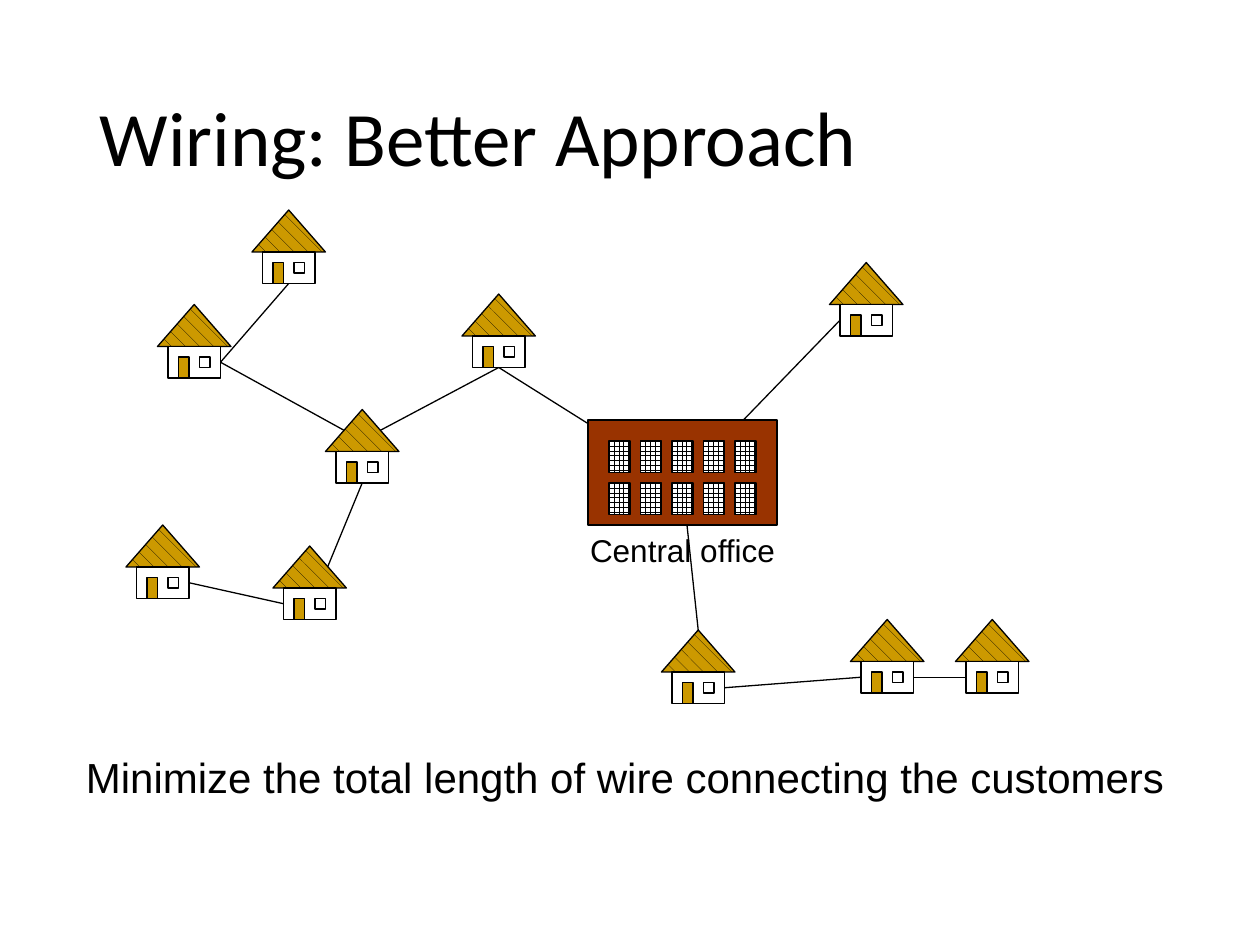
"""Build a slide on wiring houses to a central office with the least wire."""
import pptx
import pptx.dml.color
import pptx.enum.dml
import pptx.enum.shapes
import pptx.enum.text
import pptx.util
import pptx.oxml

PX = 914400 // 120
HUES = {"ink": "000000", "gold": "CC9900", "brick": "993300", "white": "FFFFFF"}
HUES = {name: pptx.dml.color.RGBColor.from_string(code) for name, code in HUES.items()}
THIN = pptx.util.Pt(0.75)
KIND = pptx.enum.shapes.MSO_SHAPE
HATCH = pptx.enum.dml.MSO_PATTERN
ALIGN = pptx.enum.text.PP_ALIGN
ANCHOR = pptx.enum.text.MSO_ANCHOR


def draw(group, kind, box, hue=None, hatch=None):
    """Add an outlined shape with a plain, hatched or empty fill."""
    shape = group.shapes.add_shape(kind, *[n * PX for n in box])
    shape.shadow.inherit = False
    shape.line.color.rgb = HUES["ink"]
    shape.line.width = THIN
    if hatch:
        shape.fill.patterned()
        shape.fill.pattern = hatch
        shape.fill.fore_color.rgb = HUES["ink"]
        shape.fill.back_color.rgb = HUES[hue]
    elif hue:
        shape.fill.solid()
        shape.fill.fore_color.rgb = HUES[hue]
    else:
        shape.fill.background()


def put(shape, box, text, face, size, form, frame):
    """Place a text shape and format its one paragraph."""
    for side, n in zip(("left", "top", "width", "height"), box):
        setattr(shape, side, n * PX)
    for key, value in frame.items():
        setattr(shape.text_frame, key, value)
    para = shape.text_frame.paragraphs[0]
    run = para.add_run()
    run.text = text
    for key, value in form.items():
        setattr(para, key, value)
    for key, value in {"name": face, "size": pptx.util.Pt(size)}.items():
        setattr(run.font, key, value)
    run.font.color.rgb = HUES["ink"]


deck = pptx.Presentation()
deck.slide_width, deck.slide_height = 1200 * PX, 900 * PX
slide = deck.slides.add_slide(deck.slide_layouts[5])

put(slide.shapes.title, (83, 48, 1034, 174), "Wiring: Better Approach", "Calibri", 44,
    {"alignment": ALIGN.LEFT, "line_spacing": 0.9},
    {"vertical_anchor": ANCHOR.MIDDLE, "word_wrap": True})

homes = [(120, 500), (630, 600), (440, 280), (790, 250), (310, 390),
         (150, 290), (240, 200), (260, 520), (910, 590), (810, 590)]
parts = [
    (KIND.ISOSCELES_TRIANGLE, (0, 0, 70, 40), "gold", HATCH.SHINGLE),
    (KIND.RECTANGLE, (10, 40, 50, 30), "white", None),
    (KIND.RECTANGLE, (20, 50, 10, 20), "gold", None),
    (KIND.RECTANGLE, (40, 50, 10, 10), None, None),
]
for left, top in homes:
    house = slide.shapes.add_group_shape()
    for kind, (x, y, wide, high), hue, hatch in parts:
        draw(house, kind, (left + x, top + y, wide, high), hue, hatch)

put(slide.shapes.add_textbox(0, 0, PX, PX), (550, 500, 200, 48), "Central office",
    "Arial", 18, {"alignment": ALIGN.CENTER}, {"word_wrap": False})

wires = [
    (650, 460, 800, 305), (650, 460, 665, 600), (650, 460, 475, 350),
    (475, 350, 362, 410), (328, 410, 210, 345), (210, 345, 275, 270),
    (345, 460, 312, 540), (270, 575, 180, 555), (690, 655, 820, 645),
    (870, 645, 920, 645),
]
for ends in wires:
    wire = slide.shapes.add_connector(
        pptx.enum.shapes.MSO_CONNECTOR.STRAIGHT, *[n * PX for n in ends])
    wire.line.color.rgb = HUES["ink"]
    wire.line.width = THIN
    wire._element.spPr.append(pptx.oxml.parse_xml(
        '<a:effectLst xmlns:a="http://schemas.openxmlformats.org/drawingml/2006/main"/>'))

office = slide.shapes.add_group_shape()
draw(office, KIND.RECTANGLE, (560, 400, 180, 100), "brick")
for row in range(2):
    for col in range(5):
        draw(office, KIND.RECTANGLE, (580 + 30 * col, 420 + 40 * row, 20, 30),
             "white", HATCH.LARGE_GRID)

put(slide.shapes.add_textbox(0, 0, PX, PX), (70, 710, 1056, 60),
    "Minimize the total length of wire connecting the customers",
    "Arial", 24, {"alignment": ALIGN.LEFT}, {"word_wrap": True})

deck.save("out.pptx")
